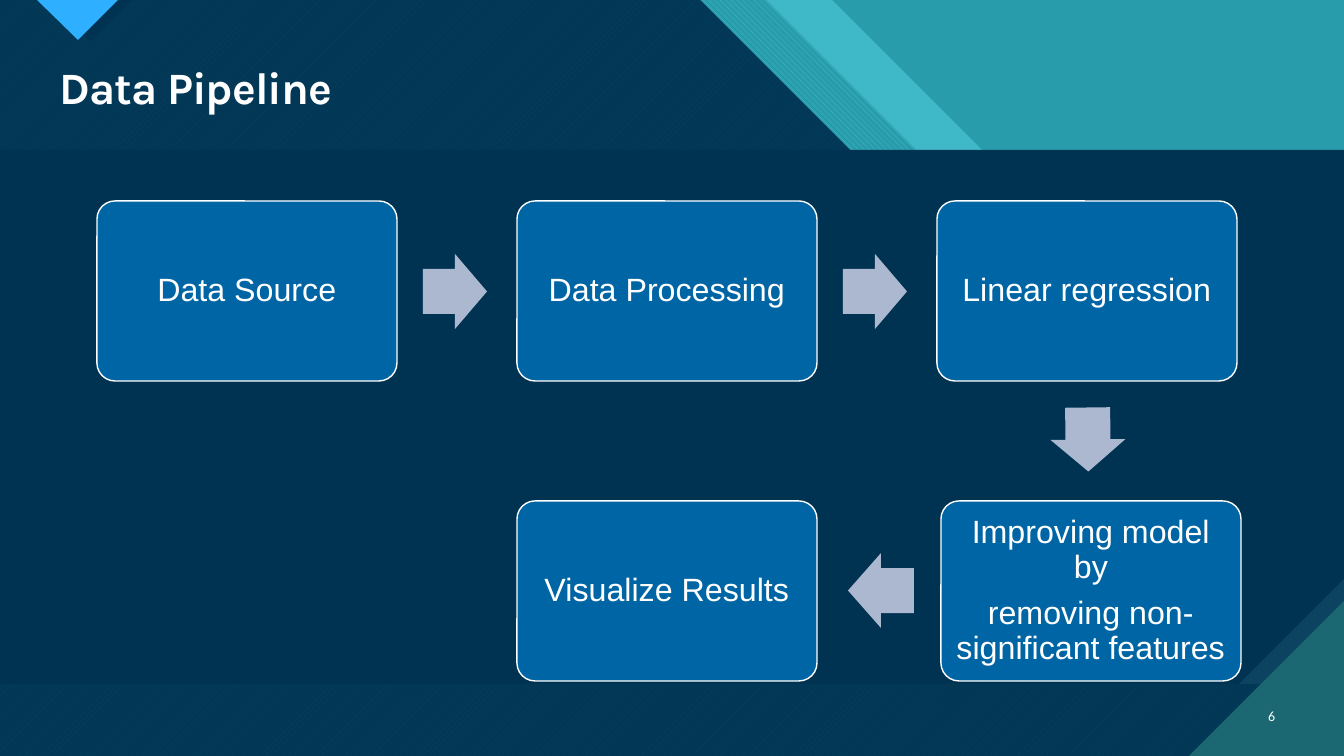
from dataclasses import dataclass

from lxml.etree import SubElement
from pptx import Presentation
from pptx.dml.color import RGBColor
from pptx.enum.dml import MSO_PATTERN
from pptx.enum.shapes import MSO_SHAPE
from pptx.enum.text import MSO_ANCHOR, PP_ALIGN
from pptx.oxml.ns import qn
from pptx.util import Emu, Pt


@dataclass(frozen=True)
class Theme:
    navy: RGBColor = RGBColor.from_string("003352")
    slate: RGBColor = RGBColor.from_string("0C4360")
    teal: RGBColor = RGBColor.from_string("299CAB")
    aqua: RGBColor = RGBColor.from_string("47C3D3")
    deep_teal: RGBColor = RGBColor.from_string("1B6872")
    sky: RGBColor = RGBColor.from_string("2FAFFF")
    step: RGBColor = RGBColor.from_string("0065A4")
    arrow: RGBColor = RGBColor.from_string("ABB8CF")
    white: RGBColor = RGBColor.from_string("FFFFFF")
    title_size: Pt = Pt(32)
    step_size: Pt = Pt(23)
    number_size: Pt = Pt(10)


theme = Theme()
SCALE = 12192000 / 1344
WIDTH, HEIGHT = 1344, 756

deck = Presentation()
deck.slide_width, deck.slide_height = Emu(round(WIDTH * SCALE)), Emu(round(HEIGHT * SCALE))
page = deck.slides.add_slide(deck.slide_layouts[6])
page.background.fill.solid()
page.background.fill.fore_color.rgb = theme.teal


def add_outline(points, color, back=None, pattern=None, opacity=100):
    """Draw a closed outline with a solid, translucent or patterned fill."""
    builder = page.shapes.build_freeform(*points[0], scale=SCALE)
    builder.add_line_segments(points[1:], close=True)
    outline = builder.convert_to_shape()
    outline.shadow.inherit = False
    outline.line.fill.background()
    if pattern:
        outline.fill.patterned()
        outline.fill.pattern = pattern
        outline.fill.back_color.rgb = back
    else:
        outline.fill.solid()
    outline.fill.fore_color.rgb = color
    if opacity < 100:
        tint = outline._element.spPr.find(qn("a:solidFill"))[0]
        SubElement(tint, qn("a:alpha"), val=str(opacity * 1000))


def write_text(shape, lines, font, size, align, anchor, line_spacing=1.0, after=0):
    """Fill a shape with one paragraph per line and return its last run."""
    frame = shape.text_frame
    frame.word_wrap = True
    frame.vertical_anchor = anchor
    for index, line in enumerate(lines):
        para = frame.add_paragraph() if index else frame.paragraphs[0]
        para.alignment = align
        para.line_spacing = line_spacing
        para.space_after = Pt(after)
        span = para.add_run()
        span.text = line
        span.font.name = font
        span.font.size = size
        span.font.color.rgb = theme.white
    return span


# Diagonal bands: each layer ends further left than the one below
for edge, fill in [
    (832, dict(color=theme.aqua, opacity=74)),
    (766, dict(color=theme.aqua, back=theme.teal, pattern=MSO_PATTERN.WIDE_DOWNWARD_DIAGONAL)),
    (700, dict(color=theme.aqua, back=theme.deep_teal, pattern=MSO_PATTERN.WIDE_UPWARD_DIAGONAL)),
    (700, dict(color=theme.navy, opacity=90)),
]:
    add_outline([(0, 0), (edge, 0), (edge + 300, 300), (WIDTH, 300),
                 (WIDTH, HEIGHT), (0, HEIGHT)], **fill)

# Marker at the top with its shade
add_outline([(48, 0), (132, 0), (90, 41)], theme.navy)
add_outline([(37, 0), (118, 0), (78, 40)], theme.sky)

# Content panel with a cut corner
TOP, BOTTOM, CUT = 150, 684, 105
add_outline([(0, TOP), (WIDTH, TOP), (WIDTH, BOTTOM), (0, BOTTOM)],
            theme.slate, theme.deep_teal, MSO_PATTERN.DARK_VERTICAL)
add_outline([(0, TOP), (WIDTH, TOP), (WIDTH, BOTTOM - CUT),
             (WIDTH - CUT, BOTTOM), (0, BOTTOM)], theme.navy)

# Page corner
add_outline([(WIDTH - 155, HEIGHT), (WIDTH, HEIGHT), (WIDTH, HEIGHT - 155)], theme.deep_teal)

# Title and page number
title = page.shapes.add_textbox(*[Emu(round(v * SCALE)) for v in (50, 60, 1236, 59)])
span = write_text(title, ["Data Pipeline"], "Karla", theme.title_size,
                  PP_ALIGN.LEFT, MSO_ANCHOR.BOTTOM, 0.9)
span.font.bold = True
span._r.get_or_add_rPr().set("spc", "-70")
number = page.shapes.add_textbox(*[Emu(round(v * SCALE)) for v in (1241, 696, 44, 40)])
write_text(number, ["6"], "Calibri", theme.number_size,
           PP_ALIGN.RIGHT, MSO_ANCHOR.MIDDLE, after=6)

# Pipeline steps
LEFT, PITCH = 97, 420
UPPER, LOWER = 201, 501
INSET = Emu(round(9 * SCALE))
for left, top, lines in [
    (LEFT, UPPER, ["Data Source"]),
    (LEFT + PITCH, UPPER, ["Data Processing"]),
    (LEFT + 2 * PITCH, UPPER, ["Linear regression"]),
    (LEFT + 2 * PITCH + 4, LOWER, ["Improving model by", "removing non- significant features"]),
    (LEFT + PITCH, LOWER, ["Visualize Results"]),
]:
    box = page.shapes.add_shape(MSO_SHAPE.ROUNDED_RECTANGLE,
                                *[Emu(round(v * SCALE)) for v in (left, top, 300, 180)])
    box.shadow.inherit = False
    box.adjustments[0] = 0.1
    box.fill.solid()
    box.fill.fore_color.rgb = theme.step
    box.line.color.rgb = theme.white
    box.line.width = Pt(1)
    frame = box.text_frame
    frame.margin_left = frame.margin_right = INSET
    frame.margin_top = frame.margin_bottom = INSET
    write_text(box, lines, "Arial", theme.step_size,
               PP_ALIGN.CENTER, MSO_ANCHOR.MIDDLE, 0.9, 8)

# Arrows between steps
for left, top, width, turn in [
    (423, 254, 64, 0),
    (423 + PITCH, 254, 64, 0),
    (1056, 402, 64, 89.3),
    (848, 553, 66, 180),
]:
    arrow = page.shapes.add_shape(MSO_SHAPE.RIGHT_ARROW,
                                  *[Emu(round(v * SCALE)) for v in (left, top, width, 75)])
    arrow.shadow.inherit = False
    arrow.adjustments[0] = 0.6
    arrow.adjustments[1] = 0.5
    arrow.rotation = turn
    arrow.fill.solid()
    arrow.fill.fore_color.rgb = theme.arrow
    arrow.line.fill.background()

deck.save("out.pptx")
